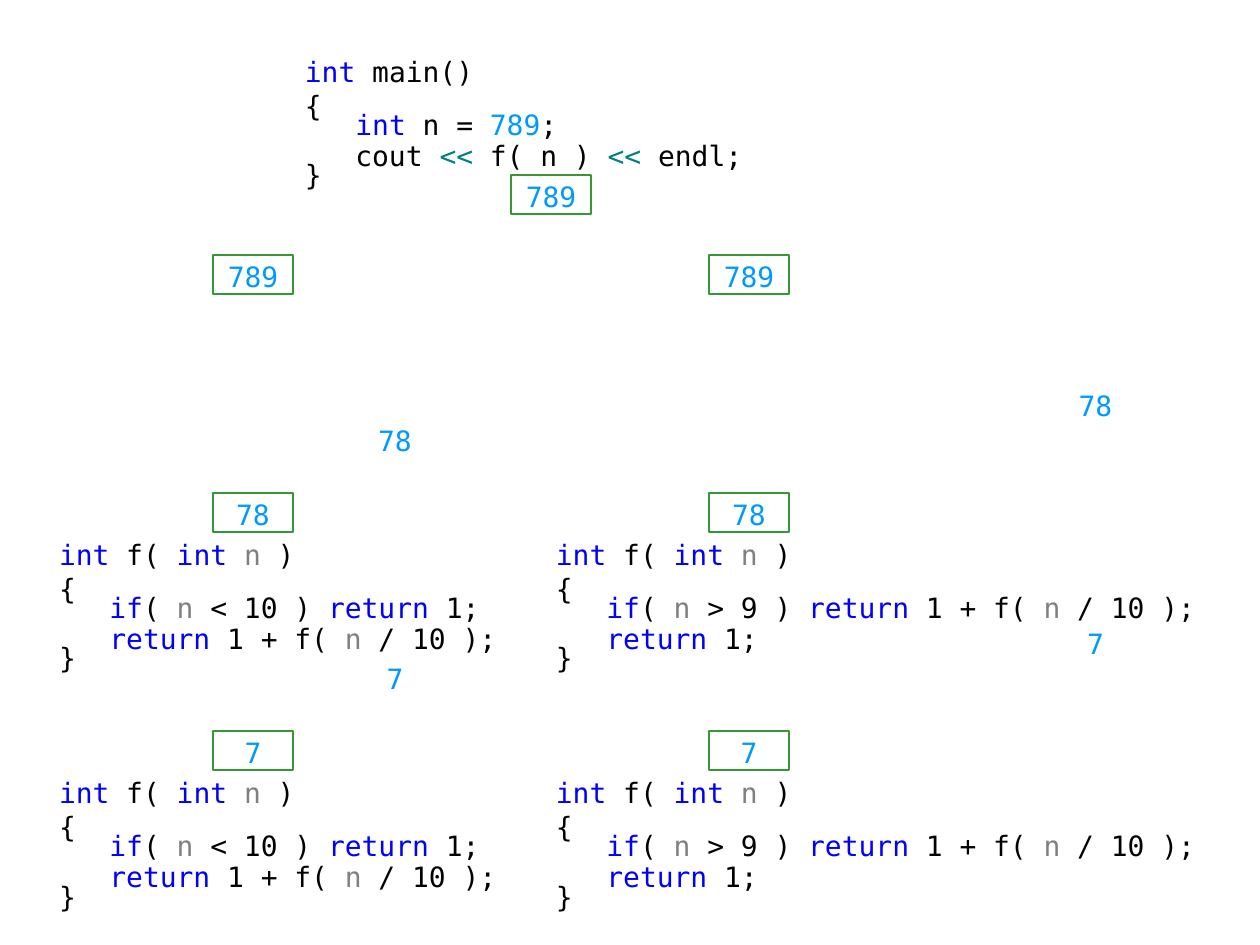
from lxml import etree
from pptx import Presentation
from pptx import util as u
from pptx.dml.color import RGBColor
from pptx.enum import shapes, text
from pptx.oxml.ns import qn

PX = u.Inches(10) // 1260
FONT = "DejaVu Sans Mono"
BLACK = RGBColor(0x00, 0x00, 0x00)
KEYWORD = RGBColor(0x00, 0x00, 0xFF)
PARAMETER = RGBColor(0x80, 0x80, 0x80)
OPERATOR = RGBColor(0x00, 0x80, 0x80)
VALUE = RGBColor(0x00, 0x99, 0xFF)
GREEN = RGBColor(0x33, 0x99, 0x33)
WHITE = RGBColor(0xFF, 0xFF, 0xFF)

MAIN = [
    [("int", KEYWORD), (" main()", BLACK)],
    [("{", BLACK)],
    [("   ", BLACK), ("int", KEYWORD), (" n = ", BLACK), ("789", VALUE), (";", BLACK)],
    [("   cout ", BLACK), ("<<", OPERATOR), (" f( n ) ", BLACK),
     ("<<", OPERATOR), (" endl;", BLACK)],
    [("}", BLACK)],
]
SIGNATURE = [
    [("int", KEYWORD), (" f( ", BLACK), ("int ", KEYWORD), ("n", PARAMETER), (" )", BLACK)],
    [("{", BLACK)],
]
RETURN_ONE = [("return", KEYWORD), (" 1;", BLACK)]
RETURN_CALL = [("return", KEYWORD), (" 1 + f( ", BLACK), ("n", PARAMETER), (" / 10 );", BLACK)]
INDENT = [("   ", BLACK)]
TEST = INDENT + [("if", KEYWORD), ("( ", BLACK), ("n", PARAMETER)]
STOP_FIRST = SIGNATURE + [TEST + [(" < 10 ) ", BLACK)] + RETURN_ONE,
                          INDENT + RETURN_CALL, [("}", BLACK)]]
CALL_FIRST = SIGNATURE + [TEST + [(" > 9 ) ", BLACK)] + RETURN_CALL,
                          INDENT + RETURN_ONE, [("}", BLACK)]]


def write_code(box, place, insets, lines):
    box.left, box.top, box.width, box.height = [n * PX for n in place]
    frame = box.text_frame
    frame.word_wrap = True
    frame.auto_size = text.MSO_AUTO_SIZE.NONE
    frame.vertical_anchor = text.MSO_ANCHOR.TOP
    (frame.margin_left, frame.margin_top,
     frame.margin_right, frame.margin_bottom) = [n * PX for n in insets]
    for index, line in enumerate(lines):
        para = frame.add_paragraph() if index else frame.paragraphs[0]
        properties = para._p.get_or_add_pPr()
        properties.set("marL", "0")
        properties.set("indent", "0")
        etree.SubElement(properties, qn("a:buNone"))
        para.alignment = text.PP_ALIGN.LEFT
        para.space_before = u.Pt(0)
        para.line_spacing = 0.5 if index in (2, 4) else 1.0
        for words, color in line:
            span = para.add_run()
            span.text = words
            span.font.name = FONT
            span.font.size = u.Pt(16)
            span.font.bold = False
            span.font.color.rgb = color


def add_value(page, place, insets, value, line_color):
    """Draw an outlined box that holds one argument value."""
    box = page.shapes.add_shape(shapes.MSO_SHAPE.RECTANGLE, *[n * PX for n in place])
    box.shadow.inherit = False
    box.fill.background()
    box.line.color.rgb = line_color
    box.line.width = u.Pt(1.5)
    frame = box.text_frame
    frame.word_wrap = False
    frame.vertical_anchor = text.MSO_ANCHOR.MIDDLE
    (frame.margin_left, frame.margin_top,
     frame.margin_right, frame.margin_bottom) = [n * PX for n in insets]
    frame.text = value
    para = frame.paragraphs[0]
    para.alignment = text.PP_ALIGN.CENTER
    font = para.runs[0].font
    font.name = FONT
    font.size = u.Pt(16)
    font.color.rgb = VALUE


deck = Presentation()
deck.slide_width = 1260 * PX
deck.slide_height = 945 * PX
page = deck.slides.add_slide(deck.slide_layouts[4])
title = page.shapes.title
title._element.getparent().remove(title._element)

main_box = page.shapes.add_textbox(0, 0, PX, PX)
write_code(main_box, (292, 55, 476, 139), (13, 0, 13, 6), MAIN)

# Calls of f are stacked at an equal pitch; the two versions stand side by side.
ROW_PITCH = 238
bodies = iter(page.placeholders)
for row in (1, 2):
    top = 294 + row * ROW_PITCH
    for left, width, lines in ((54, 456, STOP_FIRST), (551, 655, CALL_FIRST)):
        write_code(next(bodies), (left, top, width, 139), (5, 6, 5, 6), lines)

# Values received by each call
BOX_INSETS = (13, 3, 13, 0)
add_value(page, (511, 175, 80, 39), BOX_INSETS, "789", GREEN)
for row, value in enumerate(("789", "78", "7")):
    for left in (213, 709):
        add_value(page, (left, 255 + row * ROW_PITCH, 80, 39), BOX_INSETS, value, GREEN)

# Values passed on to the next call
for row, value in enumerate(("78", "7")):
    shift = row * ROW_PITCH
    add_value(page, (372, 433 + shift, 59, 39), (0, 0, 13, 25), value, WHITE)
    add_value(page, (1066, 393 + shift, 59, 39), (13, 0, 13, 15), value, WHITE)

deck.save("out.pptx")
